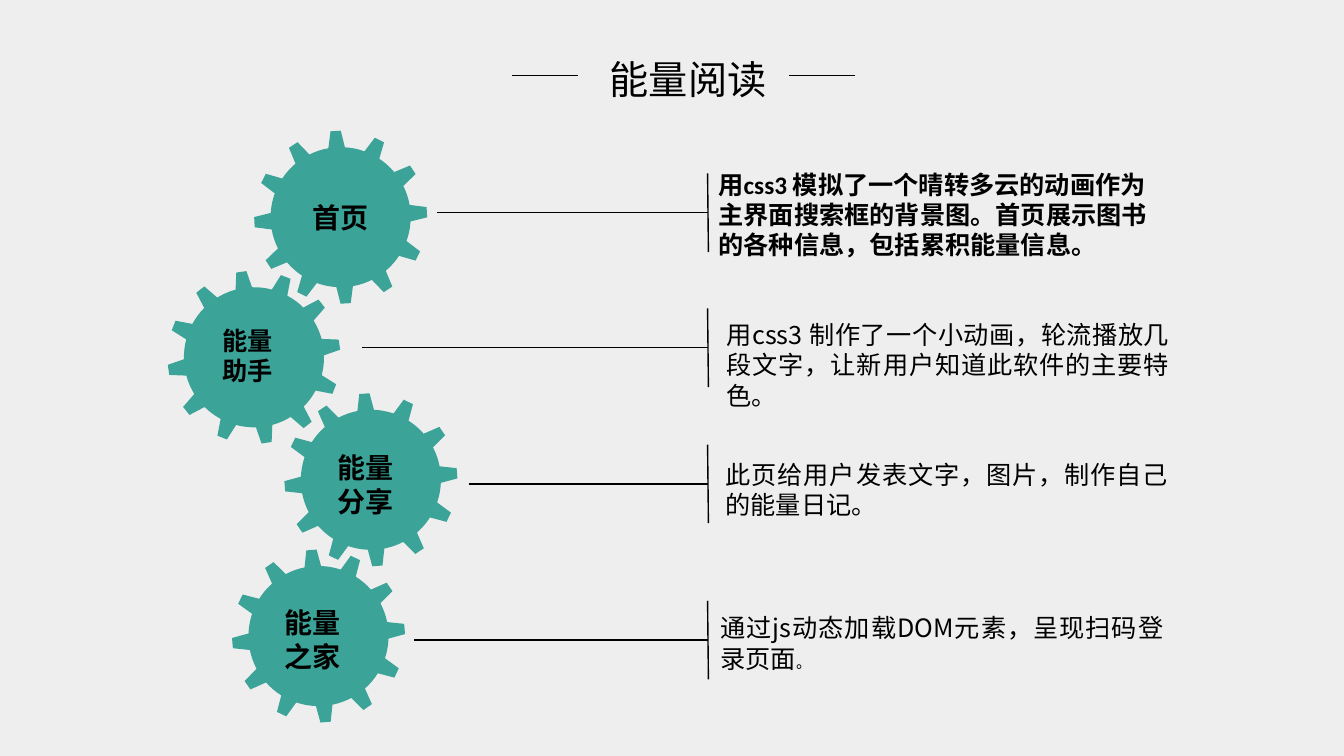
from math import cos, radians, sin

from lxml.etree import SubElement
from pptx import Presentation
from pptx.dml.color import RGBColor
from pptx.enum.shapes import MSO_CONNECTOR as Connector
from pptx.enum.text import MSO_ANCHOR as Anchor, MSO_AUTO_SIZE as AutoSize, PP_ALIGN as Align
from pptx.oxml.ns import qn
from pptx.util import Inches, Pt

COLUMNS, ROWS = 160, 90
TEETH = 12
GEAR_RADIUS, ROOT_RADIUS = 10.3, 8.34
# One tooth: degrees from its middle, and the radius there
TOOTH = [(-6.8, ROOT_RADIUS), (-3.4, GEAR_RADIUS), (3.4, GEAR_RADIUS),
         (6.8, ROOT_RADIUS), (10.9, ROOT_RADIUS), (15, ROOT_RADIUS), (19.1, ROOT_RADIUS)]
STEM_X, STEM_HALF = 84.24, 4.68


def color(hex_string):
    return RGBColor.from_string(hex_string)


def write(frame, text, size=18, bold=False, font="Noto Sans CJK SC", align=Align.LEFT,
          anchor=Anchor.TOP, ending="", ending_size=11):
    frame.word_wrap = True
    frame.auto_size = AutoSize.NONE
    frame.vertical_anchor = anchor
    paragraph = frame.paragraphs[0]
    paragraph.alignment = align
    for part, part_size in ((text, size), (ending, ending_size)):
        if part:
            run = paragraph.add_run()
            run.text = part
            run.font.size, run.font.bold, run.font.name = Pt(part_size), bold, font
            run.font.color.rgb = color(SlideBuilder.ink)
            SubElement(run.font._element, qn("a:ea"), typeface="Noto Sans CJK SC")


class SlideBuilder:
    ink, gear_fill, background = "000000", "3BA398", "EFEEEE"

    def __init__(self, presentation):
        self.column = presentation.slide_width / COLUMNS
        self.row = presentation.slide_height / ROWS
        self.slide = presentation.slides.add_slide(presentation.slide_layouts[5])
        fill = self.slide.background.fill
        fill.solid()
        fill.fore_color.rgb = color(self.background)

    def place(self, x, y):
        return round(x * self.column), round(y * self.row)

    def title(self, text, x, y, width, height):
        shape = self.slide.shapes.title
        shape.left, shape.top = self.place(x, y)
        shape.width, shape.height = self.place(width, height)
        write(shape.text_frame, text, size=28)

    def text(self, text, x, y, width, height, **style):
        shape = self.slide.shapes.add_textbox(*self.place(x, y), *self.place(width, height))
        write(shape.text_frame, text, **style)

    def line(self, x1, y1, x2, y2, width=1):
        line = self.slide.shapes.add_connector(
            Connector.STRAIGHT, *self.place(x1, y1), *self.place(x2, y2))
        line.line.color.rgb = color(self.ink)
        line.line.width = Pt(width)
        SubElement(line._element.spPr, qn("a:effectLst"))

    def gear(self, x, y, tilt):
        points = []
        for tooth in range(TEETH):
            for offset, radius in TOOTH:
                angle = radians(tilt + tooth * 360 / TEETH + offset)
                points.append(self.place(x + radius * cos(angle), y - radius * sin(angle)))
        builder = self.slide.shapes.build_freeform(*points[0])
        builder.add_line_segments(points[1:], close=True)
        shape = builder.convert_to_shape()
        shape.shadow.inherit = False
        shape.fill.solid()
        shape.fill.fore_color.rgb = color(self.gear_fill)
        shape.line.fill.background()
        return shape

    def leader(self, start, y):
        self.line(start, y, STEM_X, y)
        self.line(STEM_X, y - STEM_HALF, STEM_X + 0.1, y + STEM_HALF)


def main():
    presentation = Presentation()
    presentation.slide_width, presentation.slide_height = Inches(40 / 3), Inches(7.5)
    page = SlideBuilder(presentation)

    # Heading between two short rules
    page.title("能量阅读", 71.4, 6, 25.2, 6.84)
    for rule_x in (60.96, 93.96):
        page.line(rule_x, 8.9, rule_x + 7.8, 8.9, width=0.25)

    # Gears: centre and tilt
    home = page.gear(40.56, 25.86, 3.3)
    for x, y, tilt in ((30.24, 42.54, 8.4), (44.16, 57.12, 4.3), (37.92, 75.72, 4.7)):
        page.gear(x, y, tilt)

    # Gear labels
    write(home.text_frame, "首页", size=20, bold=True, align=Align.CENTER, anchor=Anchor.MIDDLE)
    for label, x, y, size in (("能量助手", 25.32, 38.16, 18), ("能量分享", 39, 53.04, 20),
                              ("能量之家", 32.64, 71.52, 20)):
        page.text(label, x, y, 10.44, 9.24, size=size, bold=True)

    # Leader lines from gears to descriptions
    for start, y in ((52.08, 25.32), (43.08, 41.4), (55.8, 57.6), (49.32, 76.2)):
        page.leader(start, y)

    # Descriptions
    page.text("用css3 模拟了一个晴转多云的动画作为主界面搜索框的背景图。首页展示图书的各种信息，包括累积能量信息。",
              84.36, 19.56, 56.04, 12.12, bold=True, font="Calibri")
    page.text("用css3 制作了一个小动画，轮流播放几段文字，让新用户知道此软件的主要特色。",
              85.32, 37.44, 55.08, 12.12, align=Align.JUSTIFY)
    page.text("此页给用户发表文字，图片，制作自己的能量日记。",
              85.2, 54.12, 55.08, 8.52, align=Align.JUSTIFY)
    page.text("通过js动态加载DOM元素，呈现扫码登录页面",
              84.6, 72.36, 55.08, 8.52, align=Align.JUSTIFY, ending="。")

    presentation.save("out.pptx")


if __name__ == "__main__":
    main()
